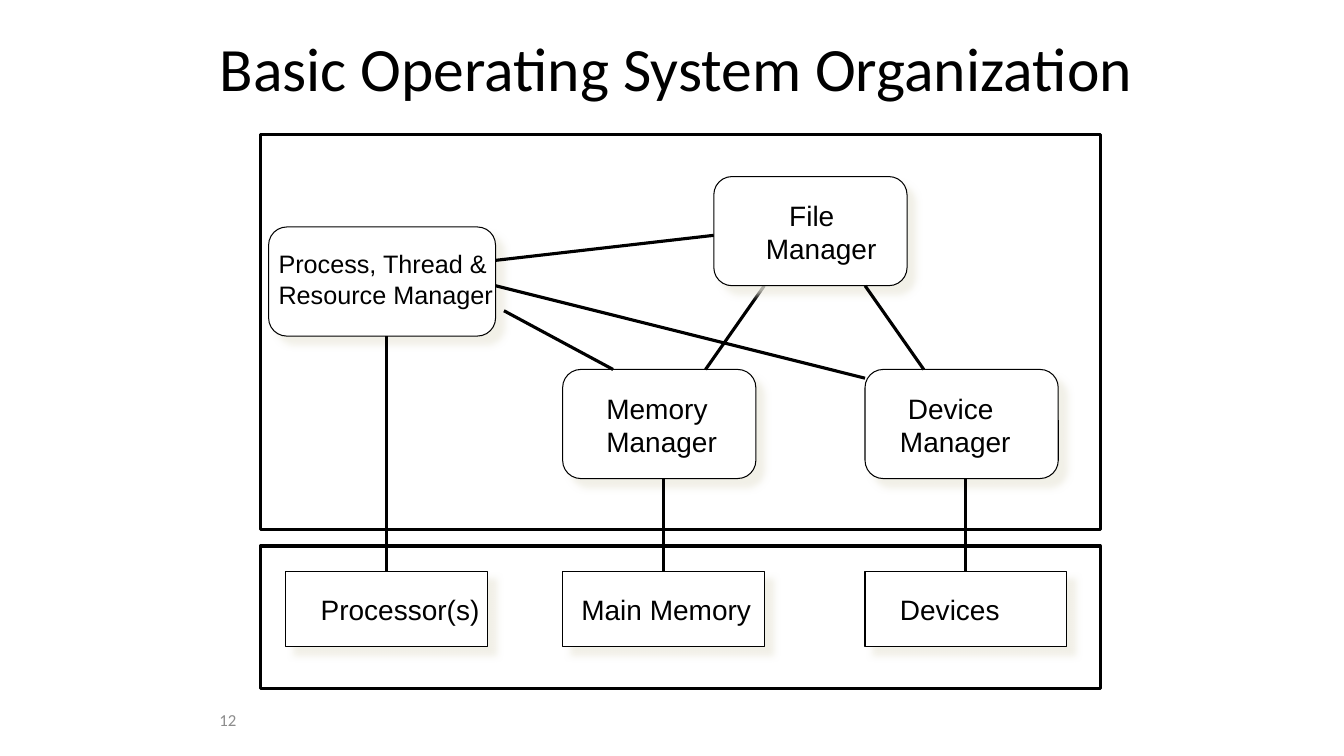
from lxml import etree
from pptx import Presentation
from pptx.dml.color import RGBColor
from pptx.enum.shapes import MSO_CONNECTOR, MSO_SHAPE
from pptx.enum.text import MSO_ANCHOR, PP_ALIGN
from pptx.oxml.ns import qn
from pptx.util import Cm, Pt

RECT, ROUND = MSO_SHAPE.RECTANGLE, MSO_SHAPE.ROUNDED_RECTANGLE
STRAIGHT = MSO_CONNECTOR.STRAIGHT
MIDDLE, TOP = MSO_ANCHOR.MIDDLE, MSO_ANCHOR.TOP
CENTER, LEFT = PP_ALIGN.CENTER, PP_ALIGN.LEFT

COLORS = {"ink": "000000", "paper": "FFFFFF", "shadow": "EEECE1", "number": "8C8C8C"}

TITLE = "Basic Operating System Organization"
PAGE = "12"

HARDWARE_Y, HARDWARE_SIZE = 14.39, (5.08, 1.91)
HARDWARE = [
    ("Processor(s)", 7.2, 0.63, 4.55),
    ("Main Memory", 14.18, 0.22, 4.83),
    ("Devices", 21.8, 0.63, 3.05),
]

FRAME_X, FRAME_W = 6.56, 21.17
FRAMES = [(13.76, 3.6), (3.39, 9.95)]

MANAGER_H = 2.75
MANAGERS = [
    (["Process, Thread &", "Resource Manager"], 6.77, 5.72, 5.72, 0, 5.97, 18, 0),
    (["Memory", "Manager"], 14.18, 9.31, 4.87, 0.85, 3.33, 20, 0),
    (["Device", "Manager"], 21.8, 9.31, 4.87, 0.63, 3.33, 20, 0.2),
]
FILE_MANAGER = (["File", "Manager"], 17.99, 4.45, 4.87, 1.06, 3.33, 20, 0.59)

LINKS = [
    (9.74, 8.47, 9.74, 14.39),
    (16.72, 12.07, 16.72, 14.39),
    (24.34, 12.07, 24.34, 14.39),
    (12.49, 6.56, 17.99, 5.93),
    (12.49, 7.2, 21.8, 9.53),
    (12.7, 7.83, 15.45, 9.31),
    (19.26, 7.2, 17.78, 9.31),
]
FILE_DEVICE_LINK = (21.8, 7.2, 23.28, 9.31)


def rgb(name):
    return RGBColor.from_string(COLORS[name])


def add_shadow(sp):
    effects = sp._element.spPr.find(qn("a:effectLst"))
    outer = etree.SubElement(effects, qn("a:outerShdw"), blurRad=str(Pt(5)),
                             dist=str(Pt(8.5)), dir="2700000",
                             algn="ctr", rotWithShape="0")
    color = etree.SubElement(outer, qn("a:srgbClr"), val=COLORS["shadow"])
    etree.SubElement(color, qn("a:alpha"), val="75000")


def add_box(s, kind, x, y, w, h, weight=0.75, filled=True):
    sp = s.shapes.add_shape(kind, Cm(x), Cm(y), Cm(w), Cm(h))
    sp.shadow.inherit = False
    sp.line.color.rgb = rgb("ink")
    sp.line.width = Pt(weight)
    if filled:
        sp.fill.solid()
        sp.fill.fore_color.rgb = rgb("paper")
        add_shadow(sp)
    else:
        sp.fill.background()


def add_text(s, lines, x, y, w, h, size, font="Arial", color="ink",
             wrap=False, anchor=TOP, align=LEFT, indent=0):
    tf = s.shapes.add_textbox(Cm(x), Cm(y), Cm(w), Cm(h)).text_frame
    tf.word_wrap = wrap
    tf.vertical_anchor = anchor
    for i, line in enumerate(lines):
        p = tf.paragraphs[0] if i == 0 else tf.add_paragraph()
        p.alignment = align
        if i == 0 and indent:
            p._p.get_or_add_pPr().set("marL", str(Cm(indent)))
        r = p.add_run()
        r.text = line
        r.font.name = font
        r.font.size = Pt(size)
        r.font.color.rgb = rgb(color)


def add_manager(s, lines, x, y, w, dx, text_w, size, indent):
    add_box(s, ROUND, x, y, w, MANAGER_H)
    add_text(s, lines, x + dx, y + 0.42, text_w, size * 0.1, size, indent=indent)


def add_link(s, x1, y1, x2, y2):
    link = s.shapes.add_connector(STRAIGHT, Cm(x1), Cm(y1), Cm(x2), Cm(y2))
    link.line.color.rgb = rgb("ink")
    link.line.width = Pt(2.25)
    etree.SubElement(link._element.spPr, qn("a:effectLst"))


def main():
    prs = Presentation()
    prs.slide_width, prs.slide_height = Cm(33.87), Cm(19.05)
    s = prs.slides.add_slide(prs.slide_layouts[6])

    add_text(s, [TITLE], 4.88, 0.2, 24.33, 2.97, 44, "Calibri",
             wrap=True, anchor=MIDDLE, align=CENTER)
    for name, x, dx, text_w in HARDWARE:
        add_box(s, RECT, x, HARDWARE_Y, *HARDWARE_SIZE)
        add_text(s, [name], x + dx, HARDWARE_Y + 0.42, text_w, 1.12, 20)
    for y, h in FRAMES:
        add_box(s, RECT, FRAME_X, y, FRAME_W, h, weight=2.25, filled=False)
    for manager in MANAGERS:
        add_manager(s, *manager)
    for link in LINKS:
        add_link(s, *link)
    add_manager(s, *FILE_MANAGER)
    add_link(s, *FILE_DEVICE_LINK)
    add_text(s, [PAGE], 5.28, 17.63, 5.92, 1.02, 12, "Calibri", "number",
             wrap=True, anchor=MIDDLE)
    prs.save("out.pptx")


if __name__ == "__main__":
    main()
